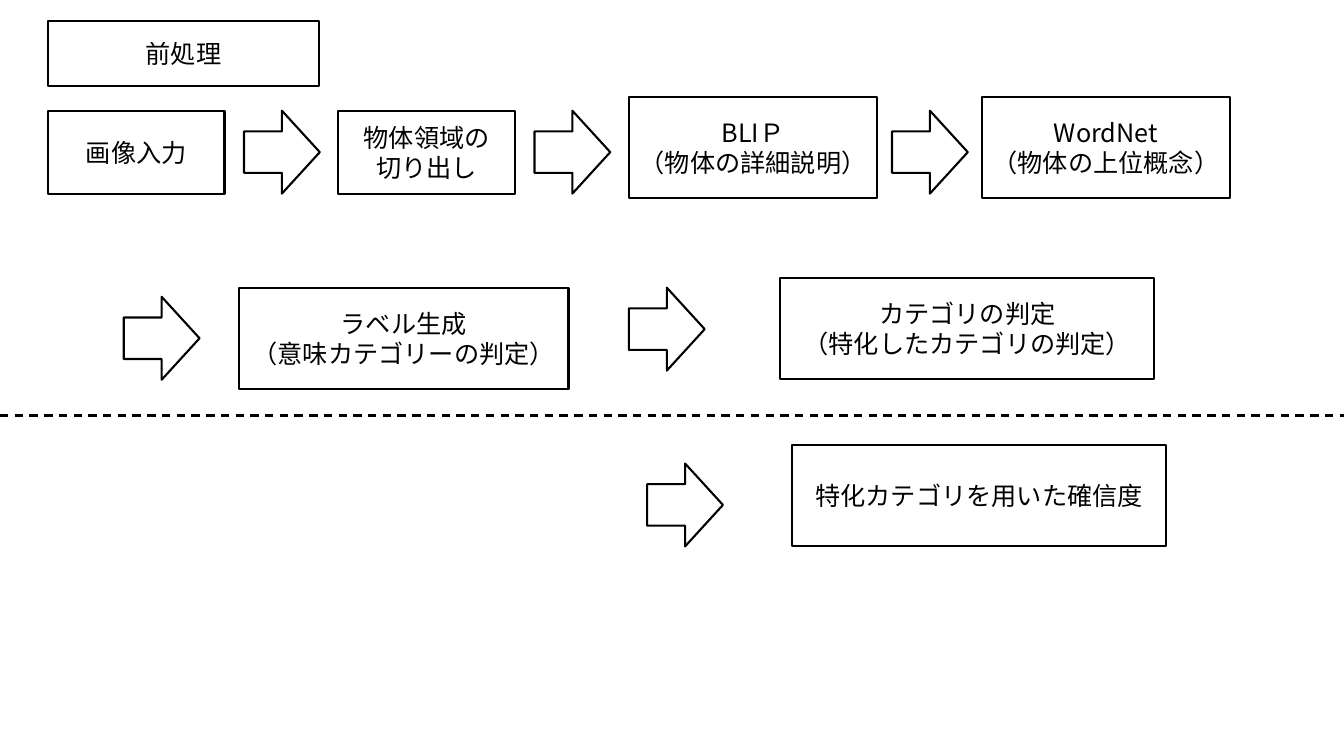
from lxml import etree
from pptx import Presentation
from pptx import util as u
from pptx.dml.color import RGBColor
from pptx.enum import dml, shapes, text
from pptx.oxml.ns import qn

FONT = "Noto Sans CJK JP"
BLACK, WHITE = "000000", "FFFFFF"
SLIDE_W, SLIDE_H = 33.87, 19.05
ARROW_W, ARROW_H = 1.91, 2.09
DIVIDER_Y = 10.47

STEPS = [
    ("前処理", 1.21, 0.53, 6.83, 1.63),
    ("画像入力", 1.21, 2.79, 4.45, 2.09),
    ("物体領域の\n切り出し", 8.53, 2.79, 4.45, 2.09),
    ("BLIＰ\v（物体の詳細説明）", 15.85, 2.44, 6.26, 2.55),
    ("WordNet\v（物体の上位概念）", 24.74, 2.44, 6.26, 2.55),
    ("ラベル生成\v（意味カテゴリーの判定）", 6.02, 7.25, 8.31, 2.55),
    ("カテゴリの判定\v（特化したカテゴリの判定）", 19.66, 7.0, 9.43, 2.55),
    ("特化カテゴリを用いた確信度", 19.96, 11.22, 9.43, 2.55),
]
ARROWS = [(6.15, 2.79), (13.47, 2.79), (22.48, 2.79),
          (3.12, 7.48), (15.85, 7.25), (16.31, 11.68)]


def color(fmt, value):
    fmt.rgb = RGBColor.from_string(value)


def add_outlined(s, kind, *box):
    sp = s.shapes.add_shape(kind, *map(u.Cm, box))
    sp.shadow.inherit = False
    sp.fill.solid()
    color(sp.fill.fore_color, WHITE)
    color(sp.line.color, BLACK)
    sp.line.width = u.Pt(1.5)
    return sp


def add_step(s, label, *box):
    tf = add_outlined(s, shapes.MSO_SHAPE.RECTANGLE, *box).text_frame
    tf.text = label
    tf.word_wrap = True
    tf.vertical_anchor = text.MSO_ANCHOR.MIDDLE
    for p in tf.paragraphs:
        p.alignment = text.PP_ALIGN.CENTER
        p.font.size = u.Pt(18)
        color(p.font.color, BLACK)
        p.font.name = FONT
        props = p._p.pPr.find(qn("a:defRPr"))
        etree.SubElement(props, qn("a:ea")).set("typeface", FONT)


def add_divider(s):
    line = s.shapes.add_connector(
        shapes.MSO_CONNECTOR.STRAIGHT,
        *map(u.Cm, (0, DIVIDER_Y, SLIDE_W, DIVIDER_Y)))
    color(line.line.color, BLACK)
    line.line.width = u.Pt(1.5)
    line.line.dash_style = dml.MSO_LINE.DASH
    etree.SubElement(line._element.spPr, qn("a:effectLst"))


def main():
    prs = Presentation()
    prs.slide_width, prs.slide_height = u.Cm(SLIDE_W), u.Cm(SLIDE_H)
    s = prs.slides.add_slide(prs.slide_layouts[6])
    for step in STEPS:
        add_step(s, *step)
    for x, y in ARROWS:
        add_outlined(s, shapes.MSO_SHAPE.RIGHT_ARROW, x, y, ARROW_W, ARROW_H)
    add_divider(s)
    prs.save("out.pptx")


if __name__ == "__main__":
    main()
